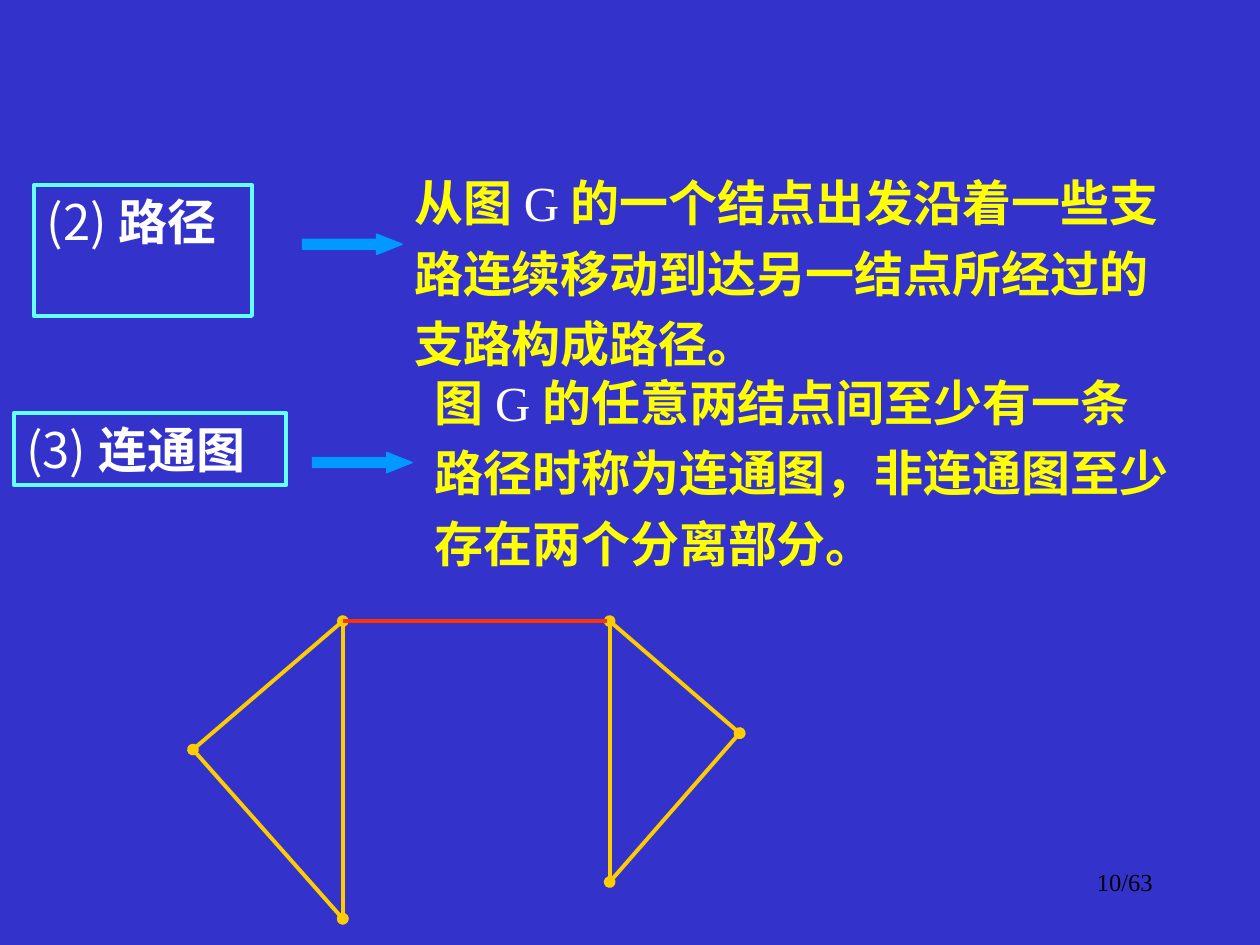
from typing import NamedTuple

from lxml.etree import SubElement
from pptx import Presentation
from pptx.dml.color import RGBColor
from pptx.enum.shapes import MSO_CONNECTOR as Connector, MSO_SHAPE as Shape
from pptx.enum.text import MSO_ANCHOR as Anchor, PP_ALIGN as Align
from pptx.oxml.ns import qn
from pptx.util import Cm, Pt

COLORS = {
    "background": "3333CC", "term": "FFFFFF", "definition": "FFFF00",
    "frame": "66FFFF", "arrow": "0099FF", "branch": "FFCC00",
    "bridge": "FF3300", "page": "000000",
}
CJK, LATIN = "Noto Sans CJK SC", "Times New Roman"


class Area(NamedTuple):
    left: float
    top: float
    width: float
    height: float

    def lengths(self) -> list:
        return [Cm(value) for value in self]


class Piece(NamedTuple):
    text: str
    color: str
    bold: bool = False
    face: str = CJK


class Concept(NamedTuple):
    number: str
    term: str
    frame: Area
    arrow: Area
    head_ratio: float
    definition_area: Area
    definition: str


class Branch(NamedTuple):
    start: tuple
    end: tuple
    color: str = "branch"
    dots: bool = True


CONCEPTS = [
    Concept("(2)", "路径", Area(0.69, 3.73, 4.39, 2.64),
            Area(6.1, 4.72, 2.01, 0.41), 1.26, Area(8.1, 3.12, 15.8, 4.52),
            "的一个结点出发沿着一些支路连续移动到达另一结点所经过的支路构成路径。"),
    Concept("(3)", "连通图", Area(0.28, 8.33, 5.49, 1.45),
            Area(6.3, 9.12, 2.01, 0.41), 1.25, Area(8.51, 7.14, 15.39, 4.52),
            "的任意两结点间至少有一条路径时称为连通图，非连通图至少存在两个分离部分。"),
]
OPENINGS = ["从图", "图"]

# Graph nodes, in centimetres
LEFT_TOP, LEFT_SIDE, LEFT_BOTTOM = (6.91, 12.52), (3.89, 15.11), (6.91, 18.52)
RIGHT_TOP, RIGHT_SIDE, RIGHT_BOTTOM = (12.29, 12.52), (14.91, 14.78), (12.29, 17.78)
BRANCHES = [
    Branch(LEFT_TOP, LEFT_SIDE, dots=False),
    Branch(LEFT_SIDE, LEFT_BOTTOM),
    Branch(LEFT_TOP, LEFT_BOTTOM),
    Branch(RIGHT_TOP, RIGHT_BOTTOM, dots=False),
    Branch(RIGHT_TOP, RIGHT_SIDE),
    Branch(RIGHT_SIDE, RIGHT_BOTTOM),
    Branch(LEFT_TOP, (12.24, 12.52), "bridge", dots=False),
]


def rgb(name: str) -> RGBColor:
    return RGBColor.from_string(COLORS[name])


def write_pieces(frame, pieces: list, spacing: float = 1.0) -> None:
    frame.word_wrap = True
    frame.vertical_anchor = Anchor.TOP
    paragraph = frame.paragraphs[0]
    paragraph.alignment = Align.LEFT
    paragraph.line_spacing = spacing
    for piece in pieces:
        run = paragraph.add_run()
        run.text = piece.text
        font = run.font
        font.size, font.bold, font.name = Pt(28), piece.bold, piece.face
        font.color.rgb = rgb(piece.color)
        SubElement(run._r.get_or_add_rPr(), qn("a:ea"), typeface=piece.face)


def draw_concept(shapes, concept: Concept, opening: str) -> None:
    # Framed term
    frame = shapes.add_shape(Shape.RECTANGLE, *concept.frame.lengths())
    frame.shadow.inherit = False
    frame.fill.background()
    frame.line.color.rgb = rgb("frame")
    frame.line.width = Pt(2.25)
    write_pieces(frame.text_frame, [Piece(concept.number, "term"),
                                    Piece(concept.term, "term", True)])
    # Arrow to the definition
    arrow = shapes.add_shape(Shape.RIGHT_ARROW, *concept.arrow.lengths())
    arrow.shadow.inherit = False
    arrow.adjustments[1] = concept.head_ratio
    arrow.fill.solid()
    arrow.fill.fore_color.rgb = rgb("arrow")
    arrow.line.color.rgb = rgb("arrow")
    arrow.line.width = Pt(0.75)
    # Definition
    definition = shapes.add_textbox(*concept.definition_area.lengths())
    write_pieces(definition.text_frame, [
        Piece(opening, "definition", True),
        Piece("G", "term", face=LATIN),
        Piece(concept.definition, "definition", True),
    ], spacing=1.2)


def draw_branch(shapes, branch: Branch) -> None:
    ends = [Cm(value) for value in branch.start + branch.end]
    line = shapes.add_connector(Connector.STRAIGHT, *ends)
    line.line.color.rgb = rgb(branch.color)
    line.line.width = Pt(2.25)
    if branch.dots:
        for tag in ("a:headEnd", "a:tailEnd"):
            SubElement(line.line._get_or_add_ln(), qn(tag), type="oval")
    SubElement(line._element.spPr, qn("a:effectLst"))


def draw_page_number(shapes) -> None:
    box = shapes.add_textbox(*Area(18.21, 17.35, 5.28, 1.27).lengths())
    box.text_frame.word_wrap = True
    paragraph = box.text_frame.paragraphs[0]
    paragraph.text = "10/63"
    paragraph.alignment = Align.RIGHT
    font = paragraph.font
    font.size, font.name = Pt(14), LATIN
    font.color.rgb = rgb("page")


def main() -> None:
    deck = Presentation()
    deck.slide_width, deck.slide_height = Cm(25.4), Cm(19.05)
    slide = deck.slides.add_slide(deck.slide_layouts[6])
    slide.background.fill.solid()
    slide.background.fill.fore_color.rgb = rgb("background")

    draw_page_number(slide.shapes)
    for concept, opening in zip(CONCEPTS, OPENINGS):
        draw_concept(slide.shapes, concept, opening)

    # Two triangles joined by one bridge
    graph = slide.shapes.add_group_shape()
    for branch in BRANCHES:
        on_slide = branch.color == "bridge"
        draw_branch(slide.shapes if on_slide else graph.shapes, branch)

    deck.save("out.pptx")


if __name__ == "__main__":
    main()
